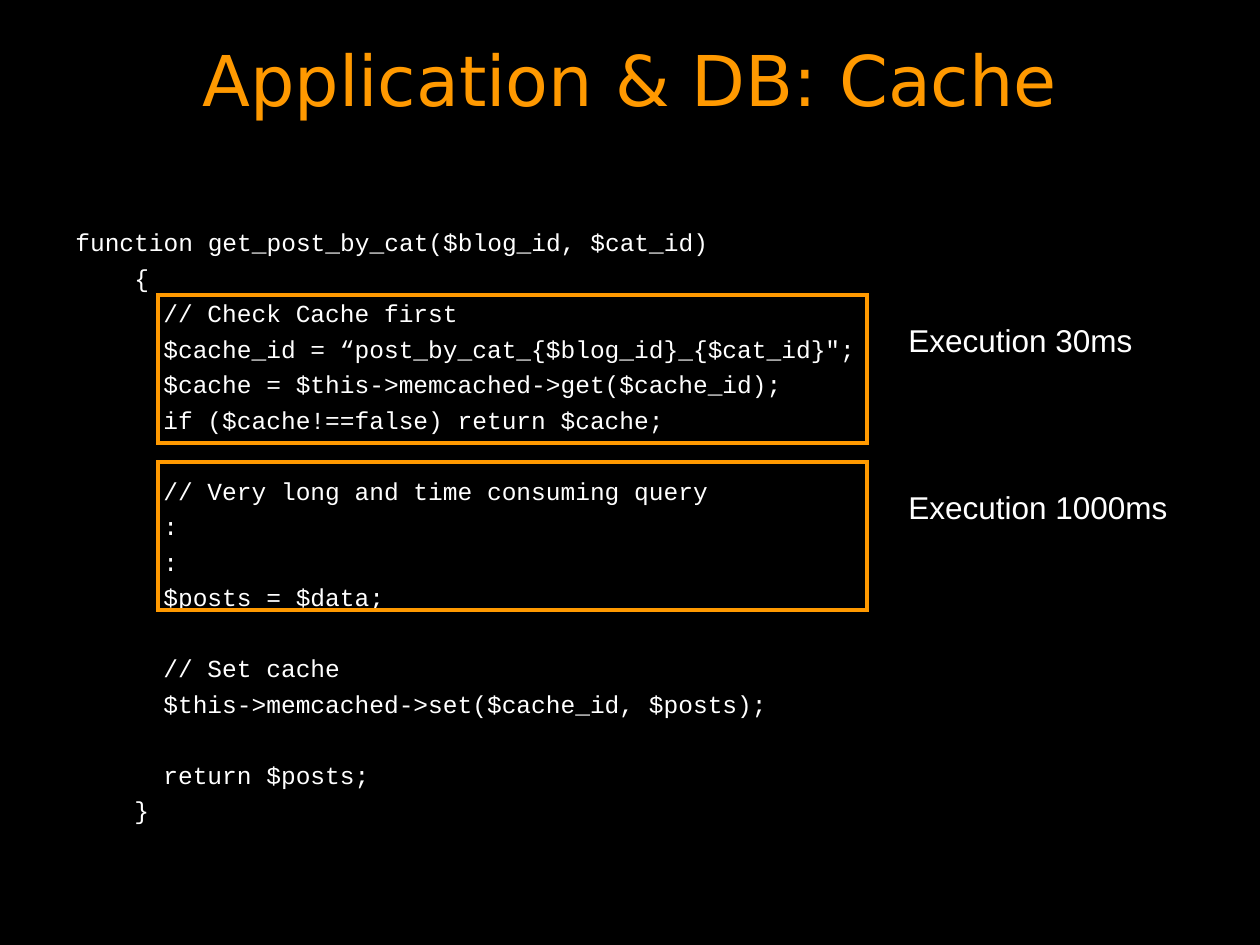
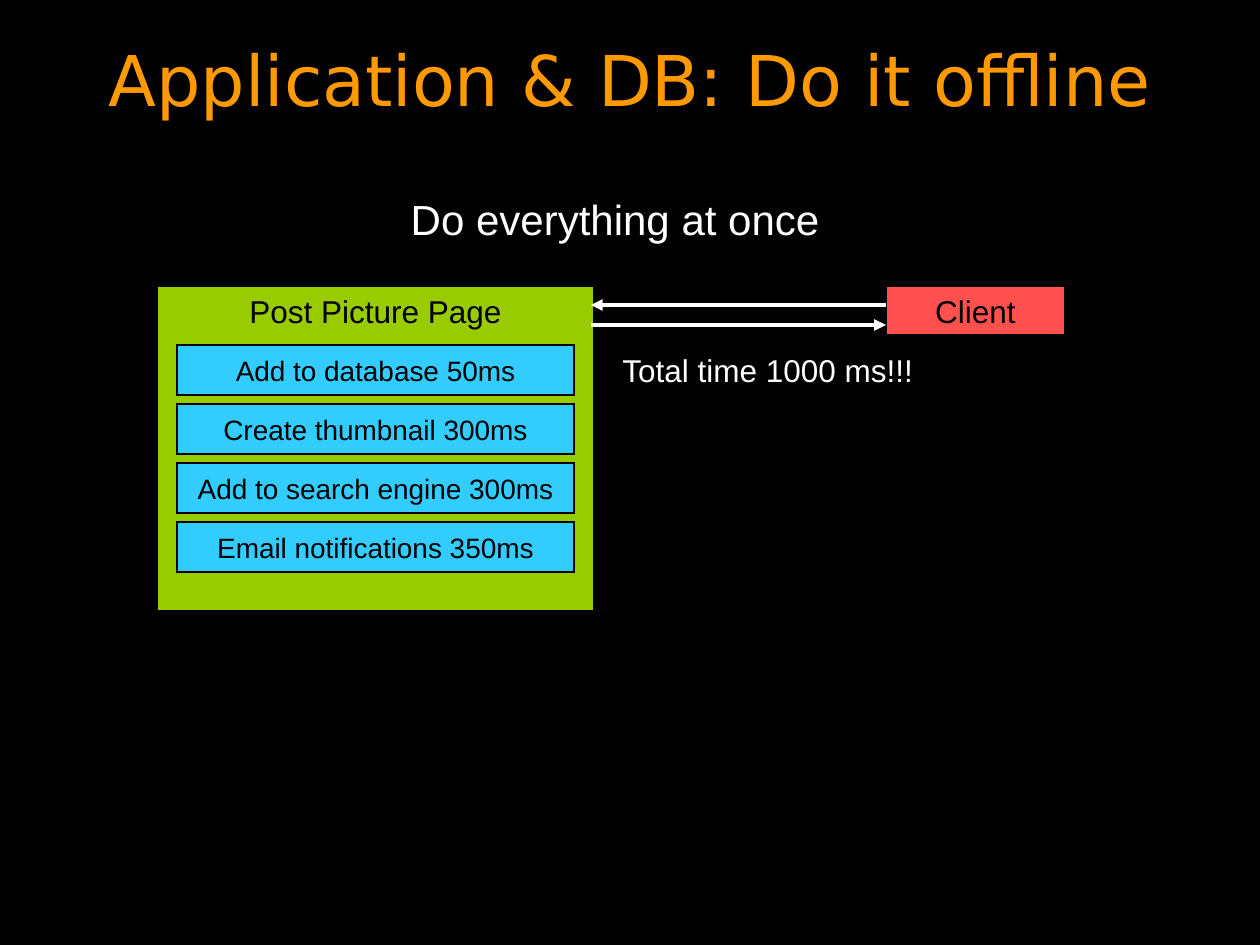
from lxml import etree
from pptx import Presentation
from pptx.dml.color import RGBColor
from pptx.enum.shapes import MSO_CONNECTOR, MSO_SHAPE
from pptx.enum.text import MSO_ANCHOR, PP_ALIGN
from pptx.oxml.ns import qn
from pptx.util import Pt

EMU = 914400 / 126  # one px
RECT = MSO_SHAPE.RECTANGLE
LINE = MSO_CONNECTOR.STRAIGHT
LEFT, MID = PP_ALIGN.LEFT, PP_ALIGN.CENTER
TOP, CENTER = MSO_ANCHOR.TOP, MSO_ANCHOR.MIDDLE

BLACK, WHITE, ORANGE = "000000", "FFFFFF", "FF9900"
GREEN, BLUE, RED = "99CC00", "33CCFF", "FF5050"
SANS, MONO, HEAD = "Arial", "Courier New", "DejaVu Sans"

GAP, PITCH = 3.5, 20.29  # code spacing in points
INDENT = 59, 88  # four and six characters
CODE = [  # indent, text, follows a blank line
    (0, "function get_post_by_cat($blog_id, $cat_id)", False),
    (INDENT[0], "{", False),
    (INDENT[1], "// Check Cache first", False),
    (INDENT[1], "$cache_id = “post_by_cat_{$blog_id}_{$cat_id}\";", False),
    (INDENT[1], "$cache = $this->memcached->get($cache_id);", False),
    (INDENT[1], "if ($cache!==false) return $cache;", False),
    (INDENT[1], "// Very long and time consuming query", True),
    (INDENT[1], ":", False),
    (INDENT[1], ":", False),
    (INDENT[1], "$posts = $data;", False),
    (INDENT[1], "// Set cache", True),
    (INDENT[1], "$this->memcached->set($cache_id, $posts);", False),
    (INDENT[1], "return $posts;", True),
    (INDENT[0], "}", False),
]
TASKS = ["Add to database 50ms", "Create thumbnail 300ms",
         "Add to search engine 300ms", "Email notifications 350ms"]


def px(n):
    return round(n * EMU)


def color(code):
    return RGBColor.from_string(code)


def add_run(para, text, size, font, ink):
    run = para.add_run()
    run.text = text
    run.font.size = Pt(size)
    run.font.name = font
    run.font.color.rgb = color(ink)


def fill_text(shape, text, size, ink, align, anchor, font=SANS):
    frame = shape.text_frame
    frame.word_wrap = True
    frame.vertical_anchor = anchor
    para = frame.paragraphs[0]
    para.alignment = align
    add_run(para, text, size, font, ink)


def add_label(slide, box, text, size=18, ink=WHITE, align=LEFT,
              anchor=TOP, font=SANS):
    shape = slide.shapes.add_textbox(*map(px, box))
    fill_text(shape, text, size, ink, align, anchor, font)


def add_box(slide, box, fill=None, edge=BLACK, width=0.75):
    shape = slide.shapes.add_shape(RECT, *map(px, box))
    shape.shadow.inherit = False
    if fill:
        shape.fill.solid()
        shape.fill.fore_color.rgb = color(fill)
    else:
        shape.fill.background()
    shape.line.color.rgb = color(edge)
    shape.line.width = Pt(width)
    # Square corners
    etree.SubElement(shape.line._get_or_add_ln(), qn("a:miter"), lim="800000")
    return shape


def add_arrow(slide, start, end, y):
    arrow = slide.shapes.add_connector(LINE, px(start), px(y), px(end), px(y))
    arrow.line.color.rgb = color(WHITE)
    arrow.line.width = Pt(2.25)
    etree.SubElement(arrow.line._get_or_add_ln(), qn("a:tailEnd"),
                     type="triangle")
    etree.SubElement(arrow._element.spPr, qn("a:effectLst"))


def new_slide(deck, title):
    slide = deck.slides.add_slide(deck.slide_layouts[6])
    slide.background.fill.solid()
    slide.background.fill.fore_color.rgb = color(BLACK)
    add_label(slide, (0, 0, 1260, 157), title, 40, ORANGE, MID, CENTER, HEAD)
    return slide


def add_code(slide, box):
    frame = slide.shapes.add_textbox(*map(px, box)).text_frame
    frame.word_wrap = True
    for i, (indent, text, blank) in enumerate(CODE):
        para = frame.add_paragraph() if i else frame.paragraphs[0]
        para.space_before = Pt(GAP + PITCH * blank)
        para._p.get_or_add_pPr().set("marL", str(px(indent)))
        add_run(para, text, 14, MONO, WHITE)


def add_timing(slide, box, text):
    x, y, w, h = box
    add_box(slide, box, edge=ORANGE, width=2)
    add_label(slide, (x + w + 29, y + 20, 344, 50), text)


def add_page(slide, box):
    x, y, w, h = box
    page = add_box(slide, box, GREEN)
    fill_text(page, "Post Picture Page", 18, BLACK, MID, TOP)
    for i, task in enumerate(TASKS):
        tile = add_box(slide, (x + 20, y + 59 + 59 * i, w - 40, 50), BLUE)
        fill_text(tile, task, 16, BLACK, MID, CENTER)


def add_client(slide, box, page_edge):
    x, y, w, h = box
    client = add_box(slide, box, RED)
    fill_text(client, "Client", 18, BLACK, MID, CENTER)
    # Request and reply
    add_arrow(slide, x, page_edge, y + 19)
    add_arrow(slide, page_edge, x, y + 39)
    add_label(slide, (page_edge + 19, y + 59, 374, 50),
              "Total time 1000 ms!!!")


def cache_slide(deck):
    slide = new_slide(deck, "Application & DB: Cache")
    add_code(slide, (63, 221, 1134, 624))
    for i, span in enumerate(("30ms", "1000ms")):
        add_timing(slide, (158, 295 + 167 * i, 709, 148),
                   f"Execution {span}")


def offline_slide(deck):
    slide = new_slide(deck, "Application & DB: Do it offline")
    add_label(slide, (157, 187, 916, 63), "Do everything at once", 24,
              align=MID)
    add_page(slide, (157, 286, 437, 325))
    add_client(slide, (886, 286, 179, 49), 591)


def main():
    deck = Presentation()
    deck.slide_width, deck.slide_height = px(1260), px(945)
    cache_slide(deck)
    offline_slide(deck)
    deck.save("out.pptx")


if __name__ == "__main__":
    main()
